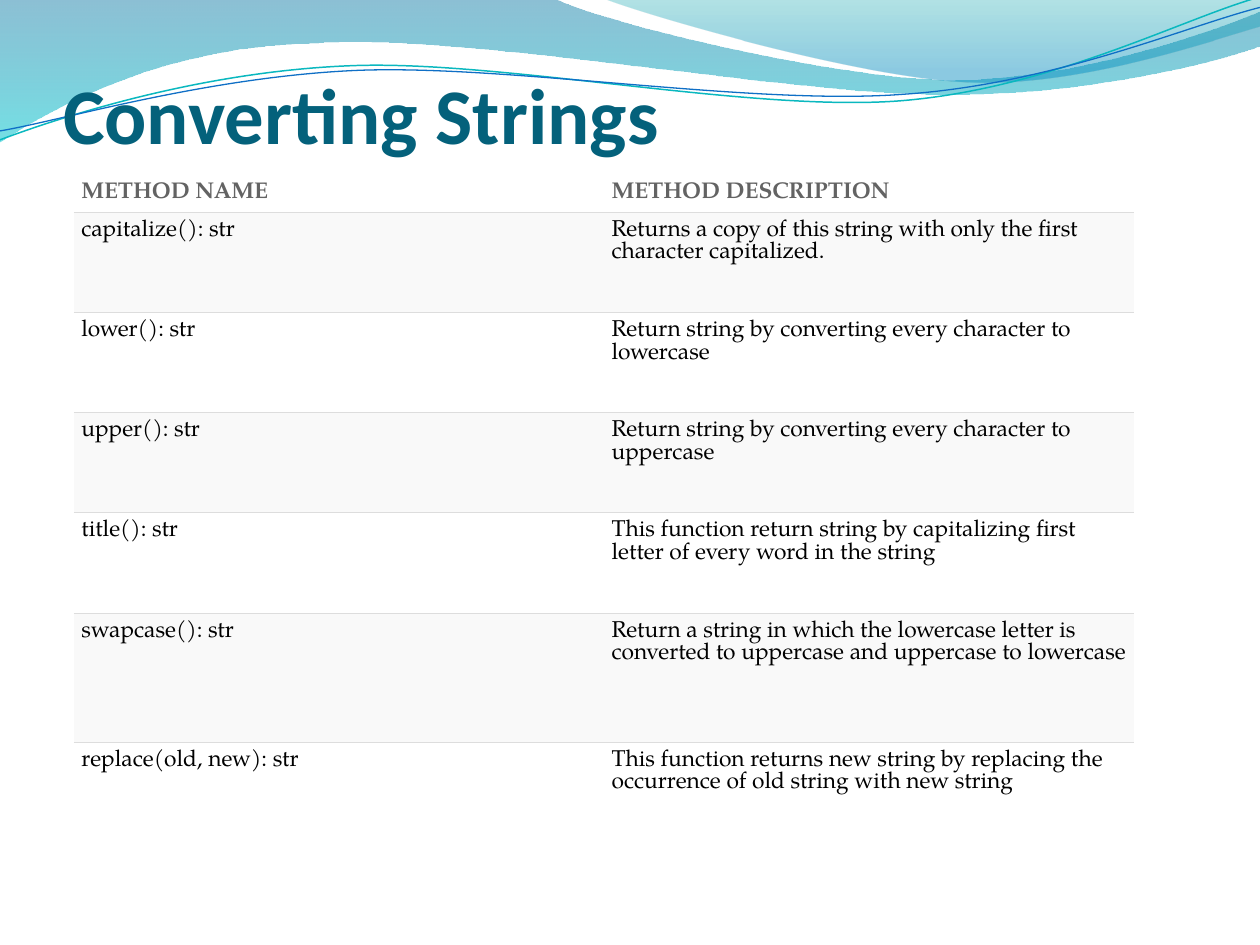
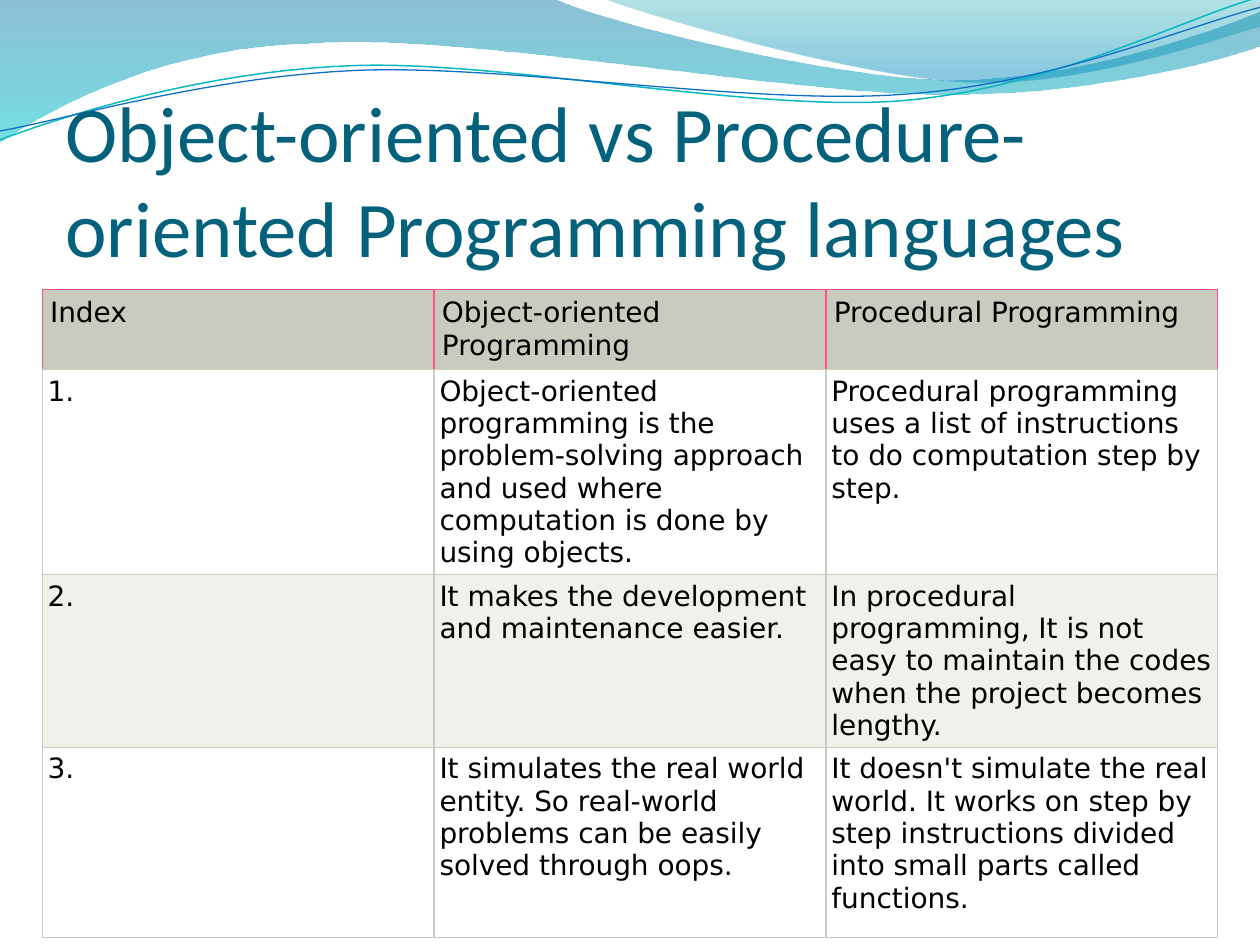
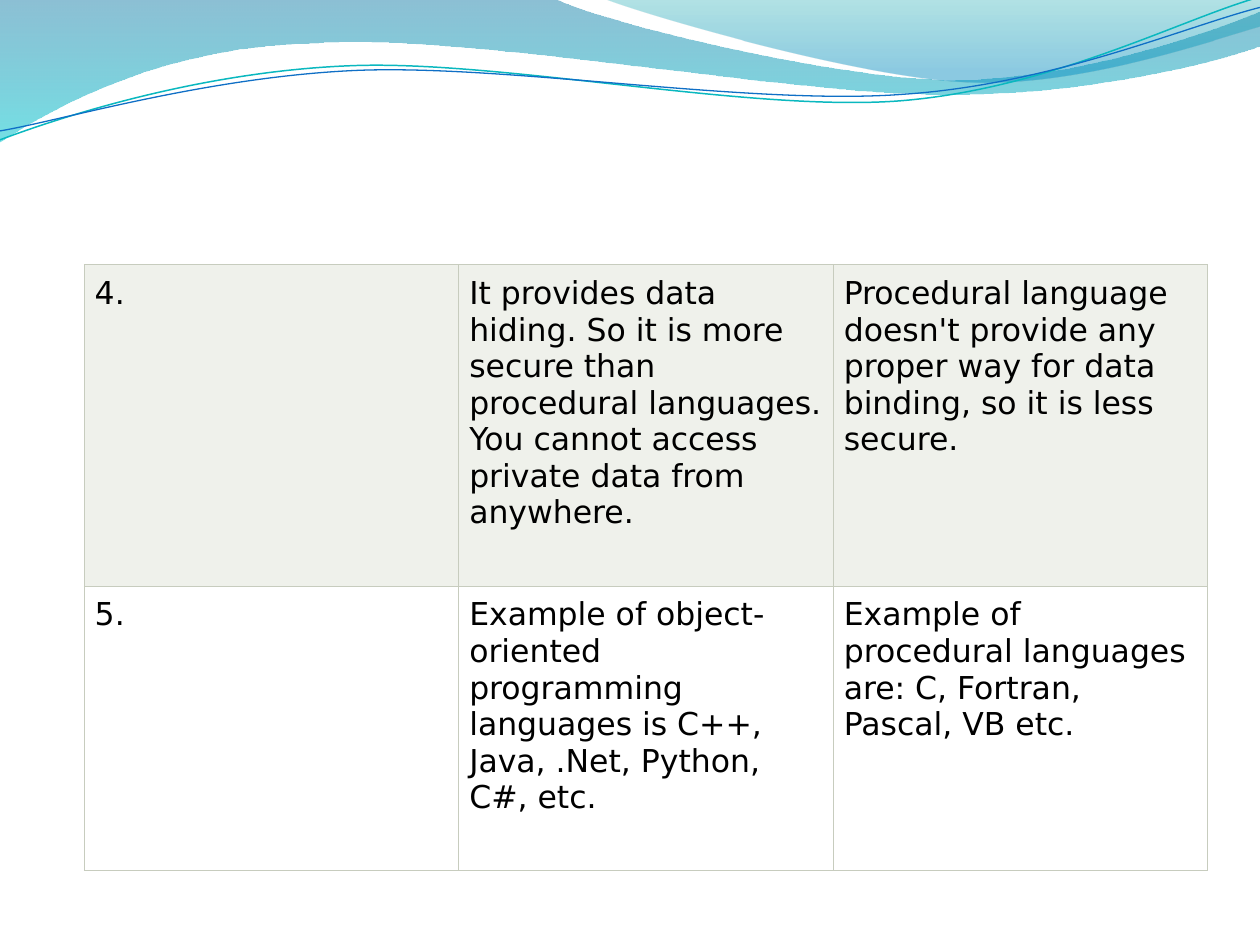
from lxml import etree
from pptx import Presentation
from pptx import util as u
from pptx.dml.color import RGBColor
from pptx.enum import text
from pptx.oxml.ns import qn

WHITE = RGBColor(0xFF, 0xFF, 0xFF)
BLACK = RGBColor(0x00, 0x00, 0x00)
TITLE_TEAL = RGBColor(0x04, 0x61, 0x7B)
DEEP_BLUE = RGBColor(0x00, 0x74, 0xA1)
AQUA = RGBColor(0x00, 0xC6, 0xCF)
SEA_GREEN = RGBColor(0x00, 0xA1, 0xA9)
SKY_BLUE = RGBColor(0x00, 0x8B, 0xBF)
LINE_TEAL = RGBColor(0x0A, 0xB8, 0xBF)
LINE_BLUE = RGBColor(0x0F, 0x6F, 0xC6)
HEADER_GREY = RGBColor(0x63, 0x63, 0x63)
RULE_GREY = RGBColor(0xDD, 0xDD, 0xDD)
BAND_GREY = RGBColor(0xF9, 0xF9, 0xF9)
SAGE = RGBColor(0xC7, 0xCC, 0xBE)
PALE_SAGE = RGBColor(0xEF, 0xF1, 0xEB)
PINK = RGBColor(0xF8, 0x54, 0x88)

NO_TABLE_STYLE = "{2D5ABB26-0587-4C30-8999-92F81FD0307C}"
LINE_TILT = 357.3

# Points in cm; a segment of one point is a line, of three a Bézier curve.
# Gradient stops are (position, colour, opacity in percent).
WAVES = [
    {"start": (0, 0), "stops": [(0, DEEP_BLUE, 45), (1, AQUA, 55)], "segments": [
        [(11.18, -0.03)],
        [(12.09, 0.43), (16.87, 1.6), (19.25, 1.6)],
        [(21.67, 1.6), (24.33, 0.66), (25.4, 0.23)],
        [(25.43, 0.91)],
        [(24.97, 1.12), (22.1, 1.93), (18.95, 1.9)],
        [(15.8, 1.9), (9.7, 0.71), (6.53, 0.86)],
        [(3.28, 0.91), (1.17, 2.11), (-0.03, 2.87)],
        [(0, 0)]]},
    {"start": (12.17, -0.03), "stops": [(0, SEA_GREEN, 30), (0.8, SKY_BLUE, 45)], "segments": [
        [(12.93, 0.28), (17.32, 1.57), (19.53, 1.65)],
        [(21.74, 1.75), (24.41, 0.81), (25.4, 0.53)],
        [(25.4, 0)],
        [(12.17, -0.03)]]},
    {"start": (-0.05, 2.22), "line": (LINE_TEAL, 0.85), "segments": [
        [(1.19, 1.82), (4.02, 1.04), (7.05, 1.06)],
        [(10.05, 1.07), (15.02, 2.37), (18.08, 2.29)],
        [(21.13, 2.2), (23.86, 0.91), (25.41, 0.55)]]},
    {"start": (-0.04, 2.04), "line": (LINE_BLUE, 0.75), "segments": [
        [(1.16, 1.9), (4.17, 1.15), (7.2, 1.16)],
        [(10.25, 1.18), (15.13, 2.25), (18.19, 2.16)],
        [(21.22, 2.1), (23.93, 1.06), (25.45, 0.75)]]},
]

STRING_METHODS = [
    ("METHOD NAME", "METHOD DESCRIPTION"),
    ("capitalize(): str",
     "Returns a copy of this string with only the first character capitalized."),
    ("lower(): str", "Return string by converting every character to lowercase"),
    ("upper(): str", "Return string by converting every character to uppercase"),
    ("title(): str",
     "This function return string by capitalizing first letter of every word in the string"),
    ("swapcase(): str",
     "Return a string in which the lowercase letter is converted to uppercase "
     "and uppercase to lowercase"),
    ("replace(old, new): str",
     "This function returns new string by replacing the occurrence of old string "
     "with new string"),
]
COMPARISON = [
    ("Index", "Object-oriented Programming", "Procedural Programming"),
    ("1.",
     "Object-oriented programming is the problem-solving approach and used where "
     "computation is done by using objects.",
     "Procedural programming uses a list of instructions to do computation step by step."),
    ("2.", "It makes the development and maintenance easier.",
     "In procedural programming, It is not easy to maintain the codes when the project "
     "becomes lengthy."),
    ("3.",
     "It simulates the real world entity. So real-world problems can be easily solved "
     "through oops.",
     "It doesn't simulate the real world. It works on step by step instructions divided "
     "into small parts called functions."),
]
COMPARISON_CONTINUED = [
    ("4.",
     "It provides data hiding. So it is more secure than procedural languages. "
     "You cannot access private data from anywhere.",
     "Procedural language doesn't provide any proper way for data binding, "
     "so it is less secure."),
    ("5.",
     "Example of object-oriented programming languages is C++, Java, .Net, Python, C#, etc.",
     "Example of procedural languages are: C, Fortran, Pascal, VB etc."),
]

# Lengths in cm. Bands are the fills that body rows take in turn.
SLIDES = [
    {"title": {"words": "Converting Strings", "at": (1.27, 1.96), "bold": True},
     "table": {"rows": STRING_METHODS, "at": (1.49, 3.39), "column": 10.69,
               "heights": [0.89] + [2.02] * 4 + [2.6] * 2,
               "bands": (BAND_GREY, WHITE), "border": RULE_GREY, "inner_rules": True,
               "margin": 0.15, "font": "TeX Gyre Pagella", "size": 13, "spacing": 13,
               "header": {"fill": WHITE, "color": HEADER_GREY, "bold": True,
                          "anchor": text.MSO_ANCHOR.BOTTOM}}},
    {"title": {"words": "Object-oriented vs Procedure-oriented Programming languages",
               "at": (1.32, 4.24), "bold": False},
     "table": {"rows": COMPARISON, "at": (0.85, 5.83), "column": 7.9,
               "heights": [1.57, 4.02, 3.39, 3.83],
               "bands": (WHITE, PALE_SAGE), "border": SAGE,
               "margin": 0.11, "font": "DejaVu Sans", "size": 16,
               "header": {"fill": SAGE, "margin": 0.16, "border": PINK}}},
    {"table": {"rows": COMPARISON_CONTINUED, "at": (1.7, 5.34), "column": 7.55,
               "heights": [6.48, 5.72],
               "bands": (PALE_SAGE, WHITE), "border": SAGE,
               "margin": 0.21, "font": "DejaVu Sans", "size": 18}},
]


def write(frame, words, *, font, size, color=BLACK, bold=False, spacing=None):
    para = frame.paragraphs[0]
    para.alignment = text.PP_ALIGN.LEFT
    if spacing:
        para.line_spacing = u.Pt(spacing)
    span = para.add_run()
    span.text = words
    span.font.name = font
    span.font.size = u.Pt(size)
    span.font.bold = bold
    span.font.color.rgb = color


def bend(shape, segments):
    """Turn each three straight steps that stand for a curve into one Bézier."""
    steps = list(shape.element.iter(qn("a:lnTo")))
    for segment in segments:
        group, steps = steps[:len(segment)], steps[len(segment):]
        if len(segment) == 3:
            curve = etree.Element(qn("a:cubicBezTo"))
            group[0].addprevious(curve)
            for step in group:
                curve.append(step[0])
                step.getparent().remove(step)


def add_wave(page, wave):
    closed = "stops" in wave
    x, y = wave["start"]
    builder = page.shapes.build_freeform(u.Cm(x), u.Cm(y))
    builder.add_line_segments(
        [(u.Cm(x), u.Cm(y)) for segment in wave["segments"] for x, y in segment],
        close=closed)
    shape = builder.convert_to_shape()
    bend(shape, wave["segments"])
    shape.shadow.inherit = False
    if not closed:
        color, width = wave["line"]
        shape.rotation = LINE_TILT
        shape.fill.background()
        shape.line.color.rgb = color
        shape.line.width = u.Pt(width)
        return shape
    shape.line.fill.background()
    shape.fill.gradient()
    shape.fill.gradient_angle = 270
    for stop, (position, color, _) in zip(shape.fill.gradient_stops, wave["stops"]):
        stop.position = position
        stop.color.rgb = color
    for color, (_, _, opacity) in zip(shape.element.iter(qn("a:srgbClr")), wave["stops"]):
        etree.SubElement(color, qn("a:alpha"), val=str(opacity * 1000))
    return shape


def add_waves_to_master(deck, page):
    tree = deck.slide_master.element.cSld.spTree
    for wave in WAVES:
        tree.append(add_wave(page, wave).element)


def set_title(page, words, at, bold):
    box = page.shapes.title
    box.left, box.top = map(u.Cm, at)
    box.width, box.height = u.Cm(22.86), u.Cm(3.18)
    frame = box.text_frame
    frame.word_wrap = True
    frame.auto_size = text.MSO_AUTO_SIZE.NONE
    frame.vertical_anchor = text.MSO_ANCHOR.BOTTOM
    frame.margin_left = frame.margin_right = 0
    frame.margin_top = u.Cm(0.13)
    frame.margin_bottom = u.Cm(1.91)
    write(frame, words, font="Calibri", size=45, color=TITLE_TEAL, bold=bold)


def set_borders(cell, colors):
    """Draw the sides named in colors (L, R, T, B), in that order."""
    properties = cell._tc.get_or_add_tcPr()
    for index, (side, color) in enumerate(colors.items()):
        line = etree.Element(qn(f"a:ln{side}"), w=str(u.Pt(0.75)))
        fill = etree.SubElement(line, qn("a:solidFill"))
        etree.SubElement(fill, qn("a:srgbClr"), val=str(color))
        properties.insert(index, line)


def border_colors(spec, style, row):
    last = len(spec["rows"]) - 1
    if spec.get("inner_rules"):
        sides = ("T" if row else "") + ("B" if row < last else "")
    else:
        sides = "LRTB"
    colors = dict.fromkeys(sides, style["border"])
    if "B" in colors:
        colors["B"] = spec["border"]
    return colors


def add_grid(page, spec):
    rows, heights = spec["rows"], spec["heights"]
    columns = len(rows[0])
    left, top = spec["at"]
    holder = page.shapes.add_table(
        len(rows), columns, u.Cm(left), u.Cm(top),
        u.Cm(spec["column"] * columns), u.Cm(sum(heights)))
    next(holder.element.iter(qn("a:tableStyleId"))).text = NO_TABLE_STYLE
    table = holder.table
    table.first_row = "header" in spec
    table.horz_banding = False
    for column in table.columns:
        column.width = u.Cm(spec["column"])
    first_body_row = 1 if "header" in spec else 0
    for row, (entries, height) in enumerate(zip(rows, heights)):
        table.rows[row].height = u.Cm(height)
        style = {**spec, "fill": spec["bands"][(row - first_body_row) % 2]}
        if row < first_body_row:
            style.update(spec["header"])
        for column, words in enumerate(entries):
            cell = table.cell(row, column)
            cell.fill.solid()
            cell.fill.fore_color.rgb = style["fill"]
            cell.vertical_anchor = style.get("anchor", text.MSO_ANCHOR.TOP)
            cell.margin_left = cell.margin_right = u.Cm(style["margin"])
            cell.margin_top = cell.margin_bottom = u.Cm(style["margin"])
            set_borders(cell, border_colors(spec, style, row))
            write(cell.text_frame, words, font=style["font"], size=style["size"],
                  color=style.get("color", BLACK), bold=style.get("bold", False),
                  spacing=style.get("spacing"))


def main():
    deck = Presentation()
    deck.slide_width, deck.slide_height = u.Cm(25.4), u.Cm(19.05)
    title_only, blank = deck.slide_layouts[5], deck.slide_layouts[6]
    for content in SLIDES:
        page = deck.slides.add_slide(title_only if "title" in content else blank)
        if "title" in content:
            set_title(page, **content["title"])
        add_grid(page, content["table"])
    add_waves_to_master(deck, deck.slides[0])
    deck.save("out.pptx")


if __name__ == "__main__":
    main()
